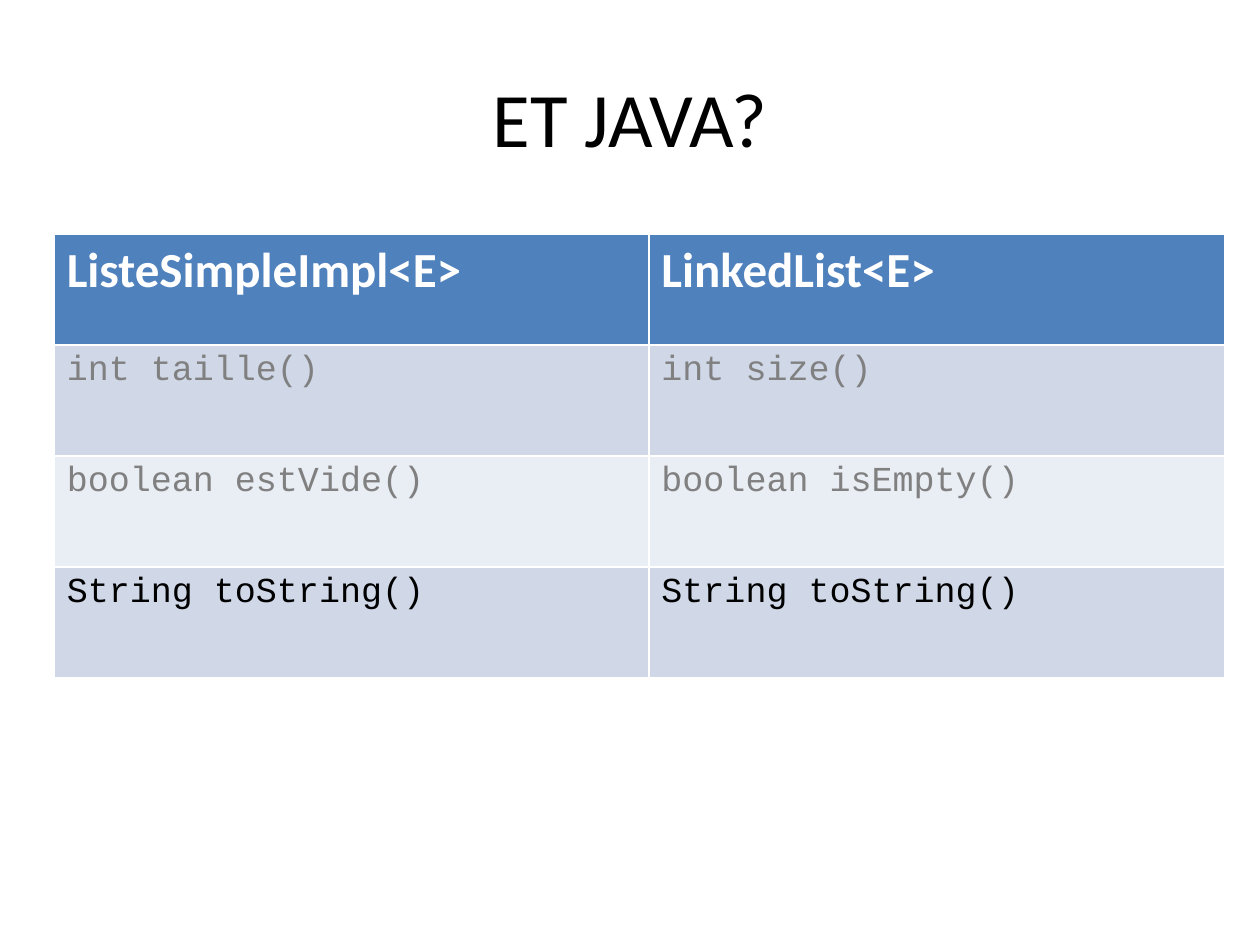
from dataclasses import dataclass

from pptx import Presentation
from pptx.dml.color import RGBColor
from pptx.enum.text import MSO_ANCHOR, PP_ALIGN
from pptx.util import Inches, Pt

TITLE = "ET JAVA?"
HEADER = ("ListeSimpleImpl<E>", "LinkedList<E>")
METHODS = [
    ("int taille()", "int size()"),
    ("boolean estVide()", "boolean isEmpty()"),
    ("String toString()", "String toString()"),
]
CURRENT_METHOD = 3
COLUMN_WIDTHS = (4.72, 4.57)
ROW_HEIGHT = 0.88


@dataclass(frozen=True)
class Theme:
    text_font: str = "Calibri"
    code_font: str = "Courier New"
    title_size: int = 44
    header_size: int = 28
    code_size: int = 20
    black: str = "000000"
    white: str = "FFFFFF"
    muted: str = "808080"
    header_fill: str = "4F81BD"
    bands: tuple = ("D0D8E8", "E9EDF4")


theme = Theme()


def style(p, name, size, color, bold=False):
    p.font.name = name
    p.font.size = Pt(size)
    p.font.bold = bold
    p.font.color.rgb = RGBColor.from_string(color)


prs = Presentation()
prs.slide_width, prs.slide_height = Inches(10), Inches(7.5)
s = prs.slides.add_slide(prs.slide_layouts[5])

title = s.shapes.title
title.left, title.top = Inches(0.5), Inches(0.3)
title.width, title.height = Inches(9), Inches(1.25)
tf = title.text_frame
tf.text = TITLE
tf.vertical_anchor = MSO_ANCHOR.MIDDLE
p = tf.paragraphs[0]
p.alignment = PP_ALIGN.CENTER
style(p, theme.text_font, theme.title_size, theme.black)

rows = [HEADER, *METHODS]
table = s.shapes.add_table(
    len(rows), len(HEADER), Inches(0.43), Inches(1.86),
    Inches(sum(COLUMN_WIDTHS)), Inches(ROW_HEIGHT * len(rows)),
).table
for column, width in zip(table.columns, COLUMN_WIDTHS):
    column.width = Inches(width)

for i, texts in enumerate(rows):
    table.rows[i].height = Inches(ROW_HEIGHT)
    if i == 0:
        fill = theme.header_fill
        font = (theme.text_font, theme.header_size, theme.white, True)
    else:
        fill = theme.bands[(i - 1) % 2]
        color = theme.black if i == CURRENT_METHOD else theme.muted
        font = (theme.code_font, theme.code_size, color)
    for j, text in enumerate(texts):
        cell = table.cell(i, j)
        cell.text = text
        cell.fill.solid()
        cell.fill.fore_color.rgb = RGBColor.from_string(fill)
        style(cell.text_frame.paragraphs[0], *font)

prs.save("out.pptx")
